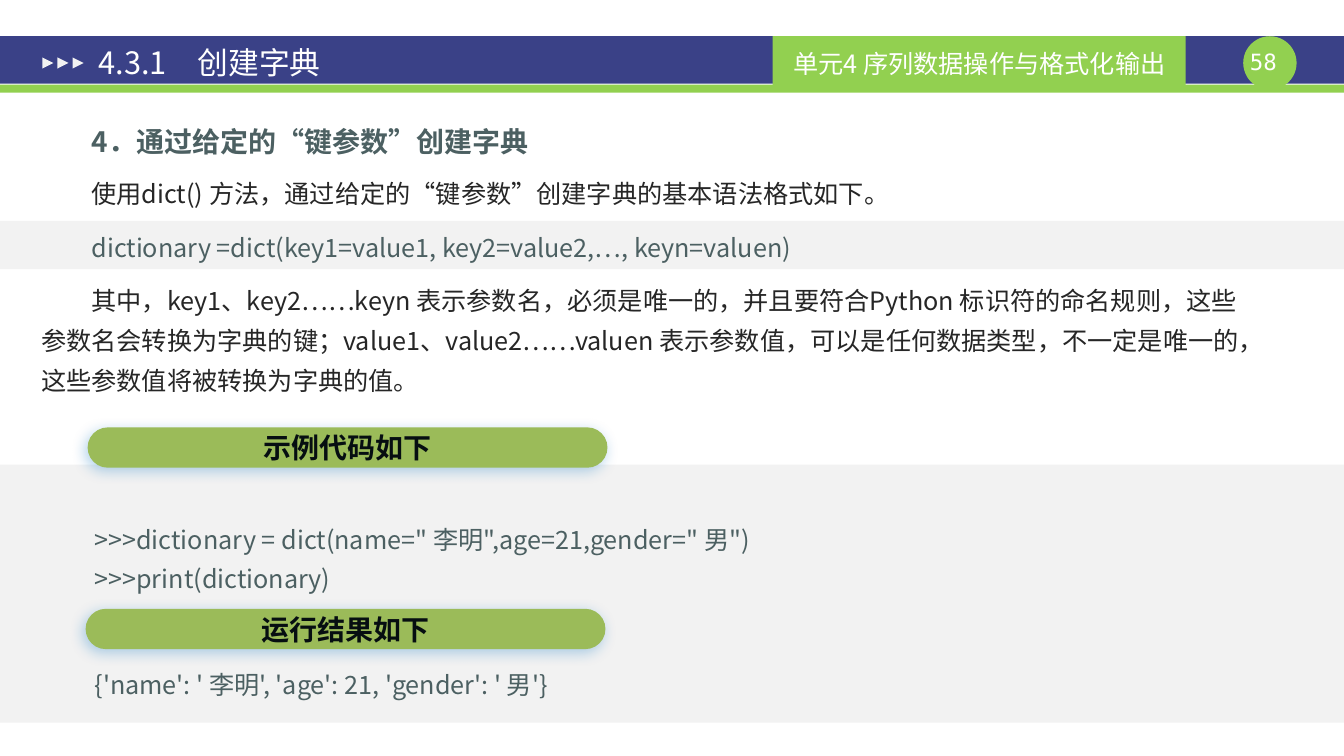
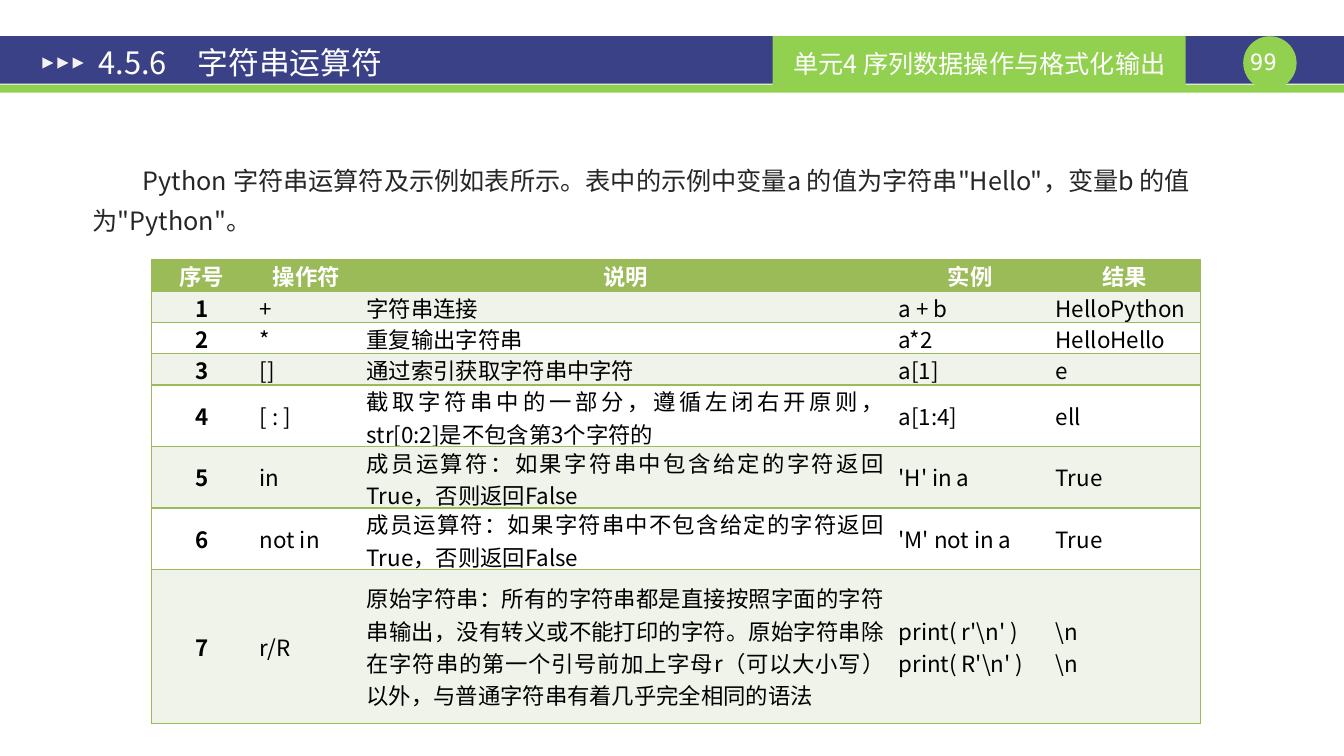
from dataclasses import dataclass

from lxml import etree
from pptx import Presentation
from pptx.dml.color import RGBColor
from pptx.enum.shapes import MSO_SHAPE
from pptx.enum.text import MSO_ANCHOR, PP_ALIGN
from pptx.oxml.ns import qn
from pptx.util import Inches, Pt

RECTANGLE, OVAL = MSO_SHAPE.RECTANGLE, MSO_SHAPE.OVAL
TRIANGLE, PILL = MSO_SHAPE.ISOSCELES_TRIANGLE, MSO_SHAPE.ROUNDED_RECTANGLE
LEFT, CENTER, JUSTIFY = PP_ALIGN.LEFT, PP_ALIGN.CENTER, PP_ALIGN.JUSTIFY
TOP, MIDDLE = MSO_ANCHOR.TOP, MSO_ANCHOR.MIDDLE
PLAIN_TABLE_STYLE = "{2D5ABB26-0587-4C30-8999-92F81FD0307C}"
TITLE_ONLY = 5


@dataclass(frozen=True)
class Theme:
    font: str = "Noto Sans CJK SC"
    number_font: str = "DejaVu Sans Mono"
    navy: str = "3A4187"
    lime: str = "92D050"
    olive: str = "9BBB59"
    pale_olive: str = "EFF3EA"
    gray: str = "F2F2F2"
    white: str = "FFFFFF"
    black: str = "000000"
    text: str = "262626"
    code: str = "4C6062"
    label: str = "060E11"
    glow: str = "0070C0"
    title_size: int = 22
    heading_size: int = 20
    body_size: int = 18
    small_size: int = 16


THEME = Theme()
SLIDE_WIDTH, SLIDE_HEIGHT = 13.34, 7.5
HEADER_TOP = 0.36


def inches(*lengths):
    return [Inches(length) for length in lengths]


def style_paragraph(paragraph, size, color, bold=False, align=LEFT,
                    font_name=THEME.font, spacing=None, indent=0):
    paragraph.alignment = align
    if spacing:
        paragraph.line_spacing = spacing
    if indent:
        properties = paragraph._p.get_or_add_pPr()
        properties.set("marL", "0")
        properties.set("indent", str(Inches(indent)))
    font = paragraph.font
    font.size, font.bold, font.name = Pt(size), bold, font_name
    font.color.rgb = RGBColor.from_string(color)
    defaults = paragraph._p.pPr.find(qn("a:defRPr"))
    etree.SubElement(defaults, qn("a:ea"), typeface=font_name)


def write(frame, text, size, color, **style):
    frame.text = text
    for paragraph in frame.paragraphs:
        style_paragraph(paragraph, size, color, **style)


def add_text(slide, box, text, size, color, **style):
    frame = slide.shapes.add_textbox(*inches(*box)).text_frame
    frame.word_wrap = True
    write(frame, text, size, color, **style)
    return frame


def add_block(slide, kind, box, color):
    shape = slide.shapes.add_shape(kind, *inches(*box))
    shape.shadow.inherit = False
    shape.fill.solid()
    shape.fill.fore_color.rgb = RGBColor.from_string(color)
    shape.line.fill.background()
    return shape


def add_shared_header(slide, layout):
    """Draw the header once and hand its shapes over to the layout."""
    shapes = [
        add_block(slide, RECTANGLE, (0, HEADER_TOP, SLIDE_WIDTH, 0.47), THEME.navy),
        add_block(slide, RECTANGLE, (0, 0.84, SLIDE_WIDTH, 0.08), THEME.lime),
        add_block(slide, OVAL, (12.34, HEADER_TOP, 0.53, 0.53), THEME.lime),
    ]
    unit = add_block(slide, RECTANGLE, (7.67, HEADER_TOP, 4.1, 0.54), THEME.lime)
    unit.text_frame.vertical_anchor = MIDDLE
    write(unit.text_frame, "单元4 序列数据操作与格式化输出",
          THEME.body_size, THEME.white, align=CENTER)
    shapes.append(unit)
    for index in range(3):
        arrow = add_block(slide, TRIANGLE, (0.42 + 0.15 * index, 0.57, 0.11, 0.11),
                          THEME.gray)
        arrow.rotation = 90
        shapes.append(arrow)
    for shape in shapes:
        layout.shapes.element.append(shape.element)


def add_title_and_number(slide, title, number):
    placeholder = slide.shapes.title
    (placeholder.left, placeholder.top,
     placeholder.width, placeholder.height) = inches(0.85, 0.4, 8.07, 0.44)
    frame = placeholder.text_frame
    frame.margin_left = frame.margin_right = Inches(0.13)
    frame.margin_top = frame.margin_bottom = Inches(0.07)
    frame.vertical_anchor = MIDDLE
    write(frame, title, THEME.title_size, THEME.white)

    frame = add_text(slide, (12.34, 0.48, 0.53, 0.27), number, THEME.small_size,
                     THEME.white, align=CENTER, font_name=THEME.number_font)
    frame.margin_left = frame.margin_top = frame.margin_bottom = 0
    frame.margin_right = Inches(0.13)


def add_pill_label(slide, left, top, text):
    pill = add_block(slide, PILL, (left, top, 5.16, 0.4), THEME.olive)
    pill.adjustments[0] = 0.5
    effects = pill.element.spPr.find(qn("a:effectLst"))
    shadow = etree.SubElement(effects, qn("a:outerShdw"), blurRad=str(Pt(10)),
                              dist=str(Pt(3)), dir=str(135 * 60000),
                              algn="tr", rotWithShape="0")
    color = etree.SubElement(shadow, qn("a:srgbClr"), val=THEME.glow)
    etree.SubElement(color, qn("a:alpha"), val="30000")
    pill.text_frame.vertical_anchor = MIDDLE
    write(pill.text_frame, text, THEME.heading_size, THEME.label,
          bold=True, align=CENTER)


def add_syntax(slide, left, top):
    """Heading, syntax line and explanation."""
    add_text(slide, (left, top, 12.48, 0.5), "4．通过给定的“键参数”创建字典",
             THEME.heading_size, THEME.code, bold=True, spacing=1.32, indent=0.5)
    lines = (
        "使用dict() 方法，通过给定的“键参数”创建字典的基本语法格式如下。",
        "dictionary =dict(key1=value1, key2=value2,…, keyn=valuen)",
        "其中，key1、key2……keyn 表示参数名，必须是唯一的，并且要符合Python 标识符的命名规则，"
        "这些参数名会转换为字典的键；value1、value2……valuen 表示参数值，可以是任何数据类型，"
        "不一定是唯一的，这些参数值将被转换为字典的值。",
    )
    frame = add_text(slide, (left, top + 0.54, 12.11, 2.38), "\n".join(lines),
                     THEME.body_size, THEME.text, spacing=1.32, indent=0.5)
    for paragraph in frame.paragraphs[1:]:
        paragraph.space_before = Pt(10)
    frame.paragraphs[1].font.color.rgb = RGBColor.from_string(THEME.code)


def add_example(slide, left, top):
    """Sample code and its result, each under a pill label."""
    code = (">>>dictionary = dict(name=\" 李明\",age=21,gender=\" 男\")",
            ">>>print(dictionary)")
    result = ("{'name': ' 李明', 'age': 21, 'gender': ' 男'}",)
    for offset, height, lines in ((0.82, 0.85, code), (2.26, 0.46, result)):
        add_text(slide, (left, top + offset, 11.33, height), "\n".join(lines),
                 THEME.body_size, THEME.code, spacing=1.3, indent=0.5)
    add_pill_label(slide, left + 0.53, top, "示例代码如下")
    add_pill_label(slide, left + 0.51, top + 1.8, "运行结果如下")


def build_dictionary_slide(slide):
    for top, height in ((4.61, 2.56), (2.19, 0.48)):
        add_block(slide, RECTANGLE, (0, top, SLIDE_WIDTH, height), THEME.gray)
    add_title_and_number(slide, "4.3.1　创建字典", "58")
    add_syntax(slide, 0.31, 1.08)
    add_example(slide, 0.34, 4.24)


def add_cell_borders(cell, sides):
    properties = cell._tc.get_or_add_tcPr()
    for side in sides:
        line = etree.SubElement(properties, qn(f"a:ln{side}"), w=str(Pt(1)))
        fill = etree.SubElement(line, qn("a:solidFill"))
        etree.SubElement(fill, qn("a:srgbClr"), val=THEME.olive)


def style_cell(cell, row, column, last_column):
    sides = {0: "LTB", last_column: "RTB"}.get(column, "TB")
    add_cell_borders(cell, sides)
    header = row == 0
    fill = THEME.olive if header else (THEME.white, THEME.pale_olive)[row % 2]
    cell.fill.solid()
    cell.fill.fore_color.rgb = RGBColor.from_string(fill)
    cell.margin_left = cell.margin_right = Inches(0.07)
    cell.margin_top = cell.margin_bottom = 0
    cell.vertical_anchor = MIDDLE
    strong = header or column == 0
    for paragraph in cell.text_frame.paragraphs:
        style_paragraph(paragraph, THEME.small_size,
                        THEME.white if header else THEME.black,
                        bold=strong, align=CENTER if strong else JUSTIFY)


def add_operator_table(slide, left, top):
    header = ("序号", "操作符", "说明", "实例", "结果")
    operators = (
        ("+", "字符串连接", "a + b", "HelloPython"),
        ("*", "重复输出字符串", "a*2", "HelloHello"),
        ("[]", "通过索引获取字符串中字符", "a[1]", "e"),
        ("[ : ]", "截取字符串中的一部分，遵循左闭右开原则，str[0:2]是不包含第3个字符的",
         "a[1:4]", "ell"),
        ("in", "成员运算符：如果字符串中包含给定的字符返回True，否则返回False",
         "'H' in a", "True"),
        ("not in", "成员运算符：如果字符串中不包含给定的字符返回True，否则返回False",
         "'M' not in a", "True"),
        ("r/R",
         "原始字符串：所有的字符串都是直接按照字面的字符串输出，没有转义或不能打印的字符。"
         "原始字符串除在字符串的第一个引号前加上字母r（可以大小写）以外，"
         "与普通字符串有着几乎完全相同的语法",
         "\n".join((r"print( r'\n' )", r"print( R'\n' )")),
         "\n".join((r"\n", r"\n"))),
    )
    rows = [header] + [(str(number), *operator)
                       for number, operator in enumerate(operators, 1)]
    widths = (1.01, 1.06, 5.28, 1.56, 1.51)
    heights = [0.31] * 4 + [0.61] * 3 + [1.53]
    table = slide.shapes.add_table(
        len(rows), len(widths),
        *inches(left, top, sum(widths), sum(heights))).table
    table._tbl.tblPr.find(qn("a:tableStyleId")).text = PLAIN_TABLE_STYLE
    table.horz_banding = False
    for column, width in zip(table.columns, widths):
        column.width = Inches(width)
    for row, height in zip(table.rows, heights):
        row.height = Inches(height)
    for row, texts in enumerate(rows):
        for column, text in enumerate(texts):
            cell = table.cell(row, column)
            cell.text = text
            style_cell(cell, row, column, len(widths) - 1)


def build_operator_slide(slide):
    add_title_and_number(slide, "4.5.6　字符串运算符", "99")
    add_text(slide, (0.82, 1.5, 11.51, 0.86),
             "Python 字符串运算符及示例如表所示。表中的示例中变量a 的值为字符串\"Hello\"，"
             "变量b 的值为\"Python\"。",
             THEME.body_size, THEME.text, spacing=1.32, indent=0.5)
    add_operator_table(slide, 1.5, 2.58)


def main():
    presentation = Presentation()
    presentation.slide_width, presentation.slide_height = inches(
        SLIDE_WIDTH, SLIDE_HEIGHT)
    layout = presentation.slide_layouts[TITLE_ONLY]
    slides = [presentation.slides.add_slide(layout) for _ in range(2)]
    add_shared_header(slides[0], layout)
    build_dictionary_slide(slides[0])
    build_operator_slide(slides[1])
    presentation.save("out.pptx")


if __name__ == "__main__":
    main()
